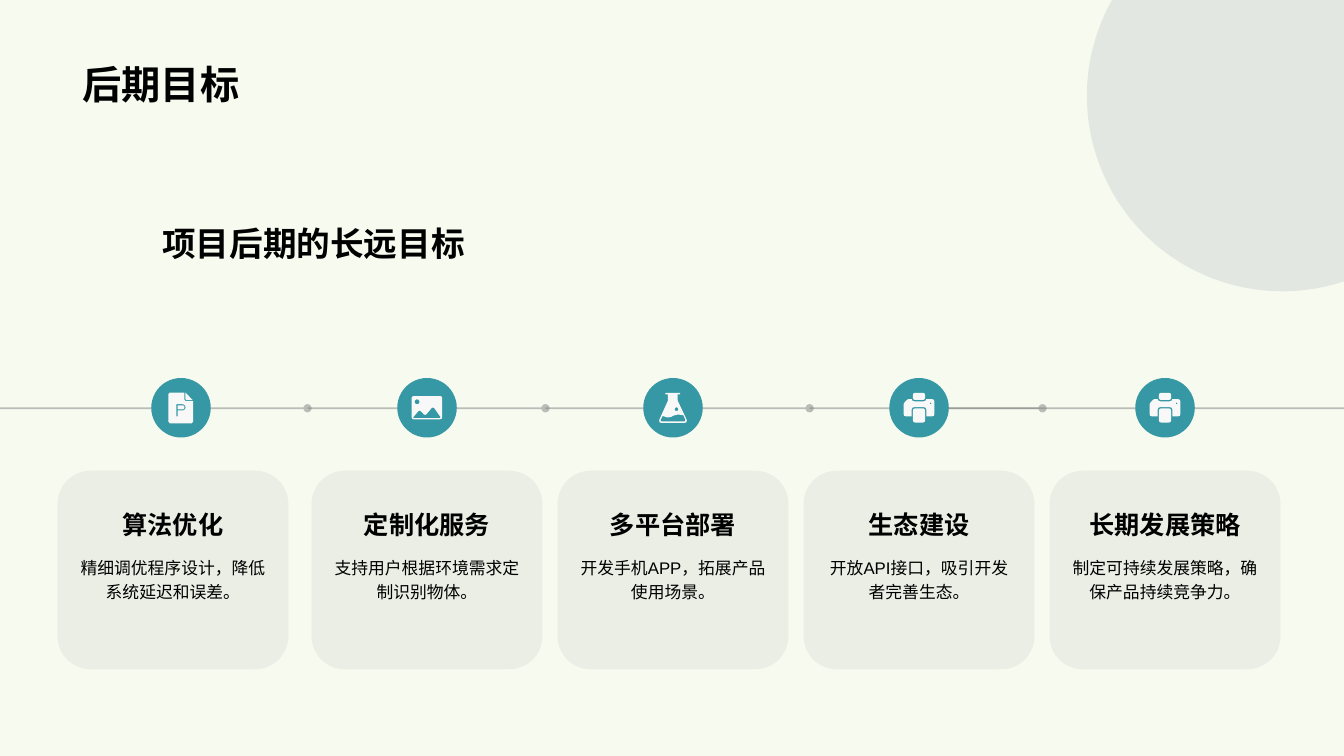
import math
from dataclasses import dataclass

from lxml import etree
from pptx import Presentation
from pptx.dml import color as c
from pptx.enum import shapes as s, text as t
from pptx.oxml import ns
from pptx.util import Inches, Pt


@dataclass(frozen=True)
class Theme:
    font: str = "Arial"
    background: str = "F6FAEF"
    ink: str = "000000"
    teal: str = "3698A4"
    icon: str = "F8F8F8"
    card: str = "BFBFBF"
    line: str = "808080"
    corner: str = "768394"
    title_size: int = 28
    subtitle_size: int = 24
    heading_size: int = 18
    body_size: int = 12


THEME = Theme()
PITCH = 2.44
DISC_LEFT, DISC_TOP, DISC_SIZE = 1.5, 3.75, 0.59
AXIS_Y = 4.05
UNIT = 1000  # outline units per inch

# heading, body, icon, shift of the card
GOALS = [
    ("算法优化", "精细调优程序设计，降低系统延迟和误差。", "document", -0.08),
    ("定制化服务", "支持用户根据环境需求定制识别物体。", "photo", 0),
    ("多平台部署", "开发手机APP，拓展产品使用场景。", "flask", 0),
    ("生态建设", "开放API接口，吸引开发者完善生态。", "printer", 0),
    ("长期发展策略", "制定可持续发展策略，确保产品持续竞争力。", "printer", 0),
]


# Outline geometry
def arc(x, y, radius, start=0, end=360, steps=24):
    angles = [math.radians(start + (end - start) * i / steps) for i in range(steps + 1)]
    return [(x + radius * math.cos(a), y + radius * math.sin(a)) for a in angles]


def rounded(left, top, right, bottom, radius):
    corners = [(right - radius, bottom - radius), (left + radius, bottom - radius),
               (left + radius, top + radius), (right - radius, top + radius)]
    return [point for i, (x, y) in enumerate(corners)
            for point in arc(x, y, radius, 90 * i, 90 * i + 90, 6)]


# Icon contours around the centre of a disc; inner contours are holes
ICONS = {
    "document": [
        [(-110, -150), (35, -150), (35, -80), (45, -65), (120, -65), (120, 140),
         (105, 155), (-110, 155), (-125, 140), (-125, -135)],
        [(45, -150), (118, -75), (55, -75), (45, -85)],
        [(-45, -35)] + arc(15, -4, 31, -90, 90, 10) + [(-34, 27), (-34, 85), (-45, 85)],
        [(-34, -24)] + arc(15, -4, 20, -90, 90, 10) + [(-34, 16)],
    ],
    "photo": [
        rounded(-152, -115, 152, 115, 22),
        arc(-98, -58, 24),
        [(-137, 95), (-85, 35), (-75, 29), (-62, 34), (-30, 67), (-18, 71), (-5, 65),
         (45, 5), (60, -3), (73, 5), (135, 93), (128, 105), (-130, 105)],
    ],
    "flask": [
        [(-75, -148), (70, -148), (70, -133), (47, -133), (47, -70), (137, 122),
         (135, 142), (120, 150), (-120, 150), (-135, 142), (-137, 122), (-50, -70),
         (-50, -133), (-75, -133)],
        [(5, 78), (-20, 92), (-55, 97), (-103, 82), (-124, 122), (-118, 135),
         (118, 135), (124, 122), (103, 75), (50, 67)],
        arc(35, 15, 18),
    ],
    "printer": [
        rounded(-60, 7, 60, 147, 22),
        rounded(-60, -148, 60, -77, 22),
        [(-72, -85), (-65, -70), (-45, -63), (45, -63), (65, -70), (72, -85),
         (130, -85), (147, -78), (153, -60), (153, 62), (147, 80), (130, 86),
         (74, 86), (74, 20), (65, 0), (45, -6), (-45, -6), (-65, 0), (-74, 20),
         (-74, 86), (-130, 86), (-147, 80), (-153, 62), (-153, -35), (-145, -50),
         (-120, -78), (-105, -85)],
        arc(115, -43, 8),
    ],
}


# Drawing helpers
def set_alpha(color_format_parent, percent):
    for color in color_format_parent.iter(ns.qn("a:srgbClr")):
        etree.SubElement(color, ns.qn("a:alpha"), val=str(percent * 1000))


def paint(shape, color, alpha=None):
    shape.shadow.inherit = False
    shape.fill.solid()
    shape.fill.fore_color.rgb = c.RGBColor.from_string(color)
    shape.line.fill.background()
    if alpha is not None:
        set_alpha(shape._element.spPr, alpha)


def add_shape(slide, kind, left, top, width, height, color, alpha=None):
    shape = slide.shapes.add_shape(kind, Inches(left), Inches(top), Inches(width), Inches(height))
    paint(shape, color, alpha)


def add_outline(slide, contours, x, y, color, alpha=None):
    builder = slide.shapes.build_freeform(*contours[0][0], scale=Inches(1) / UNIT)
    for i, contour in enumerate(contours):
        if i:
            builder.move_to(*contour[0])
        builder.add_line_segments(contour[1:], close=True)
    paint(builder.convert_to_shape(Inches(x), Inches(y)), color, alpha)


def add_axis(slide, start, end, dot):
    connector = slide.shapes.add_connector(
        s.MSO_CONNECTOR.STRAIGHT, Inches(start), Inches(AXIS_Y), Inches(end), Inches(AXIS_Y))
    connector.line.color.rgb = c.RGBColor.from_string(THEME.line)
    connector.line.width = Pt(1.25)
    properties = connector._element.spPr
    set_alpha(properties, 50)
    if dot:
        etree.SubElement(connector.line._get_or_add_ln(), ns.qn("a:tailEnd"), type="oval")
    etree.SubElement(properties, ns.qn("a:effectLst"))


def write(shape, text, size, bold, align, anchor, inset=None, spacing=None):
    frame = shape.text_frame
    frame.word_wrap = True
    frame.auto_size = t.MSO_AUTO_SIZE.NONE
    frame.vertical_anchor = anchor
    if inset is not None:
        frame.margin_left = frame.margin_right = Inches(inset)
        frame.margin_top = frame.margin_bottom = Inches(inset)
    frame.text = text
    paragraph = frame.paragraphs[0]
    paragraph.alignment = align
    if spacing:
        paragraph.line_spacing = spacing
    paragraph.font.name = THEME.font
    paragraph.font.size = Pt(size)
    paragraph.font.bold = bold
    paragraph.font.color.rgb = c.RGBColor.from_string(THEME.ink)


def add_text(slide, left, top, width, height, *args, **options):
    box = slide.shapes.add_textbox(Inches(left), Inches(top), Inches(width), Inches(height))
    write(box, *args, **options)


def add_goal(slide, index, heading, body, icon, shift):
    disc = DISC_LEFT + PITCH * index
    card = disc - 0.85 + shift
    center, bottom, top = t.PP_ALIGN.CENTER, t.MSO_ANCHOR.BOTTOM, t.MSO_ANCHOR.TOP
    add_shape(slide, s.MSO_SHAPE.ROUNDED_RECTANGLE, card, 4.67, 2.29, 1.97, THEME.card, 20)
    add_text(slide, card + 0.07, 4.95, 2.15, 0.5, heading, THEME.heading_size, True,
             center, bottom, inset=0.1)
    add_text(slide, card + 0.07, 5.37, 2.15, 1.03, body, THEME.body_size, False,
             center, top, inset=0.12, spacing=1.2)
    add_shape(slide, s.MSO_SHAPE.OVAL, disc, DISC_TOP, DISC_SIZE, DISC_SIZE, THEME.teal)
    add_outline(slide, ICONS[icon], disc + DISC_SIZE / 2, DISC_TOP + DISC_SIZE / 2, THEME.icon)


def main():
    presentation = Presentation()
    presentation.slide_width, presentation.slide_height = Inches(13.33), Inches(7.5)
    slide = presentation.slides.add_slide(presentation.slide_layouts[5])
    slide.background.fill.solid()
    slide.background.fill.fore_color.rgb = c.RGBColor.from_string(THEME.background)

    # Title
    title = slide.shapes.title
    title.left, title.top, title.width, title.height = map(Inches, (0.72, 0.14, 11.88, 0.98))
    write(title, "后期目标", THEME.title_size, True, t.PP_ALIGN.LEFT, t.MSO_ANCHOR.BOTTOM)

    # Corner circle, cut off by the slide edges
    x, y, radius = 12.72, 0.95, 1.94
    start = math.degrees(math.acos((13.33 - x) / radius))
    end = 180 + math.degrees(math.asin(y / radius))
    edge = arc(x * UNIT, y * UNIT, radius * UNIT, start, end, 90)
    add_outline(slide, [edge + [(13.33 * UNIT, 0)]], 0, 0, THEME.corner, 15)

    # Timeline
    for start, end, dot in [(8.03, 13.33, False), (9.03, 10.34, True), (0, 3.05, True),
                            (3.05, 5.41, True), (5.41, 8.03, True)]:
        add_axis(slide, start, end, dot)

    # Goals
    for index, goal in enumerate(GOALS):
        add_goal(slide, index, *goal)

    # Subtitle
    add_text(slide, 1.49, 1.41, 6.06, 1.32, "项目后期的长远目标", THEME.subtitle_size, True,
             t.PP_ALIGN.LEFT, t.MSO_ANCHOR.BOTTOM, inset=0.12)
    presentation.save("out.pptx")


if __name__ == "__main__":
    main()
